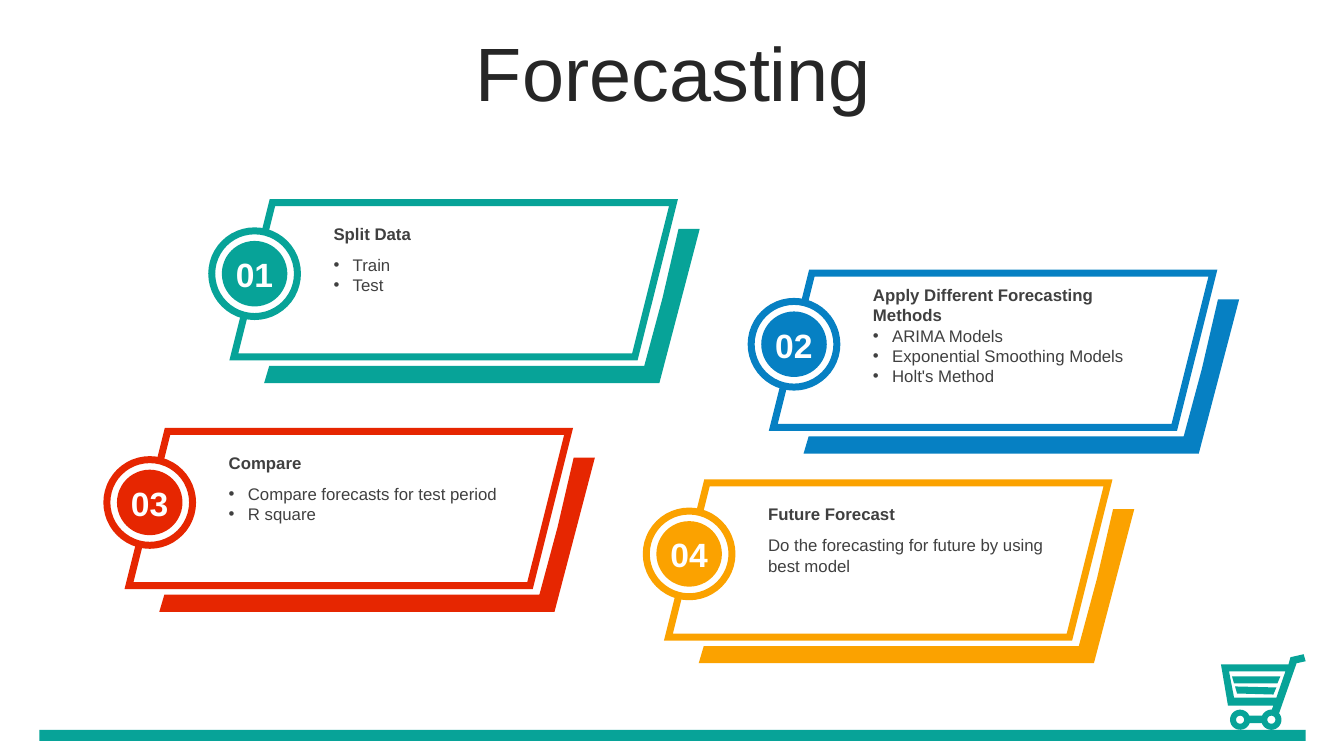
from dataclasses import dataclass
from math import cos, radians, sin

from lxml.etree import SubElement
from pptx import Presentation
from pptx.dml.color import RGBColor
from pptx.enum.shapes import MSO_SHAPE as Preset
from pptx.enum.text import MSO_ANCHOR as Anchor, MSO_AUTO_SIZE as AutoSize, PP_ALIGN as Align
from pptx.oxml.ns import qn
from pptx.util import Inches, Pt

COLORS = {
    "teal": "07A398", "red": "E62601", "blue": "0680C3", "orange": "FBA200",
    "white": "FFFFFF", "title": "262626", "body": "404040",
}
FONT = "Arial"
LINE_HEIGHT = 0.2
Point = tuple[float, float]


@dataclass
class Card:
    number: str
    left: float
    top: float
    color: str
    heading: str
    body: list[str]
    heading_lines: int = 1
    body_lines: int = 2
    bulleted: bool = True


CARDS = [
    Card("01", 2.32, 2.01, "teal", "Split Data", ["Train", "Test"]),
    Card("03", 1.28, 4.28, "red", "Compare",
         ["Compare forecasts for test period", "R square"]),
    Card("02", 7.67, 2.71, "blue", "Apply Different Forecasting Methods",
         ["ARIMA Models", "Exponential Smoothing Models", "Holt's Method"],
         heading_lines=2, body_lines=3),
    Card("04", 6.63, 4.79, "orange", "Future Forecast",
         ["Do the forecasting for future by using best model"], bulleted=False),
]

# Card shadow outline, measured from the card's top left corner
SHADOW = [(4.41, 0.26), (4.62, 0.26), (4.22, 1.79), (0.3, 1.79),
          (0.35, 1.62), (4.07, 1.62), (4.25, 0.95)]


def rgb(color: str) -> RGBColor:
    return RGBColor.from_string(COLORS[color])


def paint(shape, fill: str, outline: str | None = None) -> None:
    shape.shadow.inherit = False
    shape.fill.solid()
    shape.fill.fore_color.rgb = rgb(fill)
    if outline is None:
        shape.line.fill.background()
        return
    shape.line.color.rgb = rgb(outline)
    shape.line.width = Pt(5)
    SubElement(shape._element.spPr.find(qn("a:ln")), qn("a:miter"), lim="800000")


def add_preset(slide, preset, left: float, top: float, width: float, height: float,
               fill: str, outline: str | None = None) -> None:
    shape = slide.shapes.add_shape(
        preset, Inches(left), Inches(top), Inches(width), Inches(height))
    paint(shape, fill, outline)


def add_outline(slide, contours: list[list[Point]], fill: str) -> None:
    emu = [[(Inches(x), Inches(y)) for x, y in contour] for contour in contours]
    builder = slide.shapes.build_freeform(*emu[0][0])
    for index, contour in enumerate(emu):
        if index:
            builder.move_to(*contour[0])
        builder.add_line_segments(contour[1:], close=True)
    paint(builder.convert_to_shape(), fill)


def add_text(slide, left: float, top: float, width: float, height: float,
             lines: list[str], size: float, color: str, bold: bool = False,
             bulleted: bool = False, align=Align.LEFT, anchor=Anchor.TOP,
             side_inset: float = 0.1, spacing: float = 1.0, grow: bool = True) -> None:
    box = slide.shapes.add_textbox(
        Inches(left), Inches(top), Inches(width), Inches(height))
    frame = box.text_frame
    frame.word_wrap = True
    frame.auto_size = AutoSize.SHAPE_TO_FIT_TEXT if grow else AutoSize.NONE
    frame.vertical_anchor = anchor
    frame.margin_left = frame.margin_right = Inches(side_inset)
    for index, line in enumerate(lines):
        paragraph = frame.add_paragraph() if index else frame.paragraphs[0]
        paragraph.alignment = align
        paragraph.line_spacing = spacing
        if bulleted:
            properties = paragraph._p.get_or_add_pPr()
            properties.set("marL", str(Inches(0.19)))
            properties.set("indent", str(Inches(-0.19)))
            SubElement(properties, qn("a:buFont"), typeface=FONT)
            SubElement(properties, qn("a:buChar"), char="•")
        run = paragraph.add_run()
        run.text = line
        run.font.name = FONT
        run.font.size = Pt(size)
        run.font.bold = bold
        run.font.color.rgb = rgb(color)


def add_card(slide, card: Card) -> None:
    left, top = card.left, card.top
    # Panel and shadow
    add_preset(slide, Preset.PARALLELOGRAM, left, top, 4.36, 1.53, "white", card.color)
    add_outline(slide, [[(left + x, top + y) for x, y in SHADOW]], card.color)
    # Body and heading
    add_text(slide, left + 0.89, top + 0.47, 3.08, 0.1 + LINE_HEIGHT * card.body_lines,
             card.body, 12, "body", bulleted=card.bulleted)
    heading_height = 0.1 + LINE_HEIGHT * card.heading_lines
    add_text(slide, left + 0.89, top + 0.31 - heading_height / 2, 3.08, heading_height,
             [card.heading], 12, "body", bold=True, anchor=Anchor.MIDDLE)
    # Number badge
    add_preset(slide, Preset.OVAL, left - 0.22, top + 0.28, 0.85, 0.85, "white", card.color)
    add_preset(slide, Preset.OVAL, left - 0.12, top + 0.38, 0.65, 0.65, card.color)
    add_text(slide, left - 0.11, top + 0.46, 0.63, 0.5, [card.number], 24, "white",
             bold=True, align=Align.CENTER, side_inset=0.12)


def arc(center: Point, radius: float, start: float, end: float) -> list[Point]:
    steps = 24
    angles = [radians(start + (end - start) * i / steps) for i in range(steps + 1)]
    return [(center[0] + radius * cos(a), center[1] + radius * sin(a)) for a in angles]


def add_cart(slide) -> None:
    rear, front = (12.3, 7.14), (12.61, 7.14)
    frame = [(12.93, 6.49), (12.8, 6.52), (12.78, 6.59), (12.11, 6.59),
             (12.18, 7), (12.63, 7), (12.61, 7.05)]
    frame += arc(front, 0.1, -90, -156)
    frame += arc(rear, 0.1, -24, -340)
    frame += arc(front, 0.1, 160, -40)
    frame += [(12.86, 6.58), (12.95, 6.56)]
    basket = [(12.75, 6.66), (12.66, 6.92), (12.24, 6.92), (12.19, 6.66)]
    upper_bar = [(12.22, 6.71), (12.24, 6.78), (12.67, 6.78), (12.7, 6.71)]
    lower_bar = [(12.25, 6.81), (12.27, 6.88), (12.63, 6.89), (12.66, 6.82)]
    hubs = [arc(wheel, 0.04, 0, 360) for wheel in (rear, front)]
    add_outline(slide, [frame, basket, upper_bar, lower_bar, *hubs], "teal")


def main() -> None:
    deck = Presentation()
    deck.slide_width, deck.slide_height = Inches(13.33), Inches(7.5)
    slide = deck.slides.add_slide(deck.slide_layouts[6])

    # Footer
    add_cart(slide)
    add_preset(slide, Preset.RECTANGLE, 0.39, 7.24, 12.56, 0.11, "teal")

    # Title
    add_text(slide, 0.35, 0.37, 12.66, 0.79, ["Forecasting"], 54, "title",
             align=Align.CENTER, anchor=Anchor.MIDDLE, spacing=0.9, grow=False)

    # Steps
    for card in CARDS:
        add_card(slide, card)

    deck.save("out.pptx")


if __name__ == "__main__":
    main()
